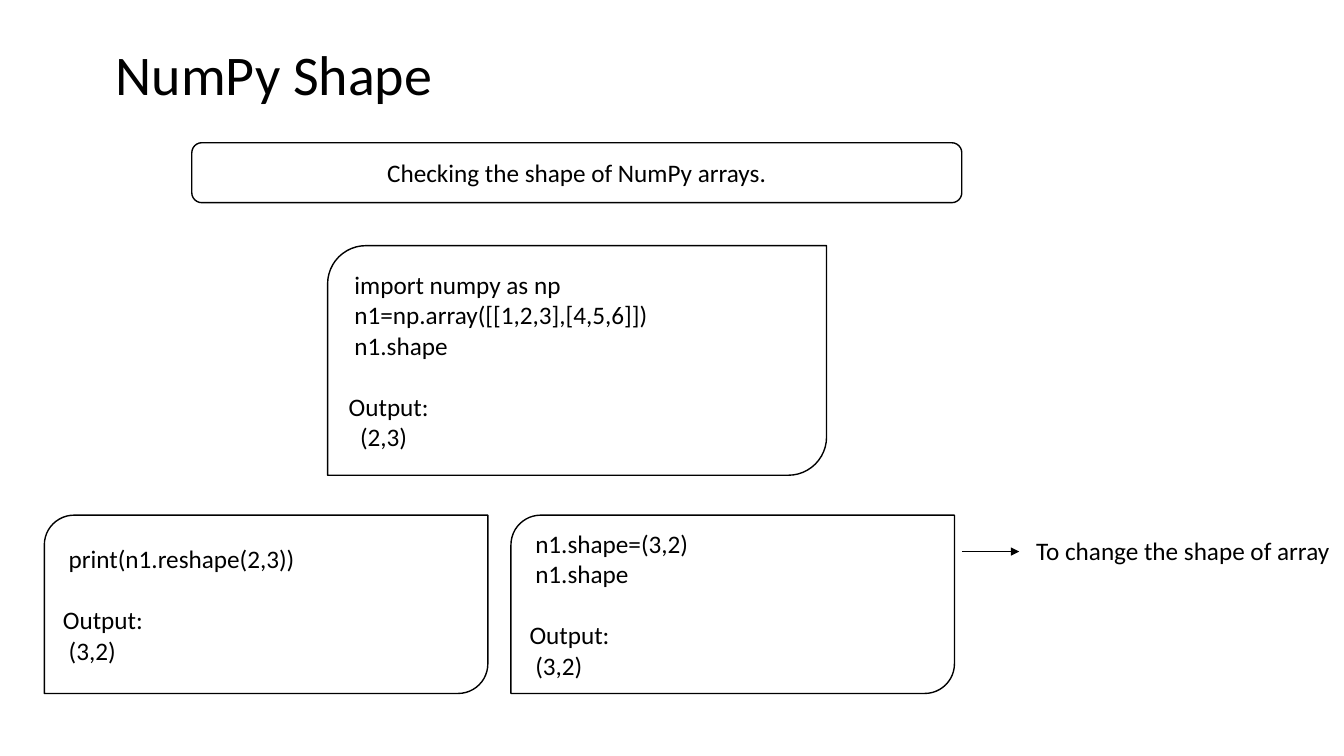
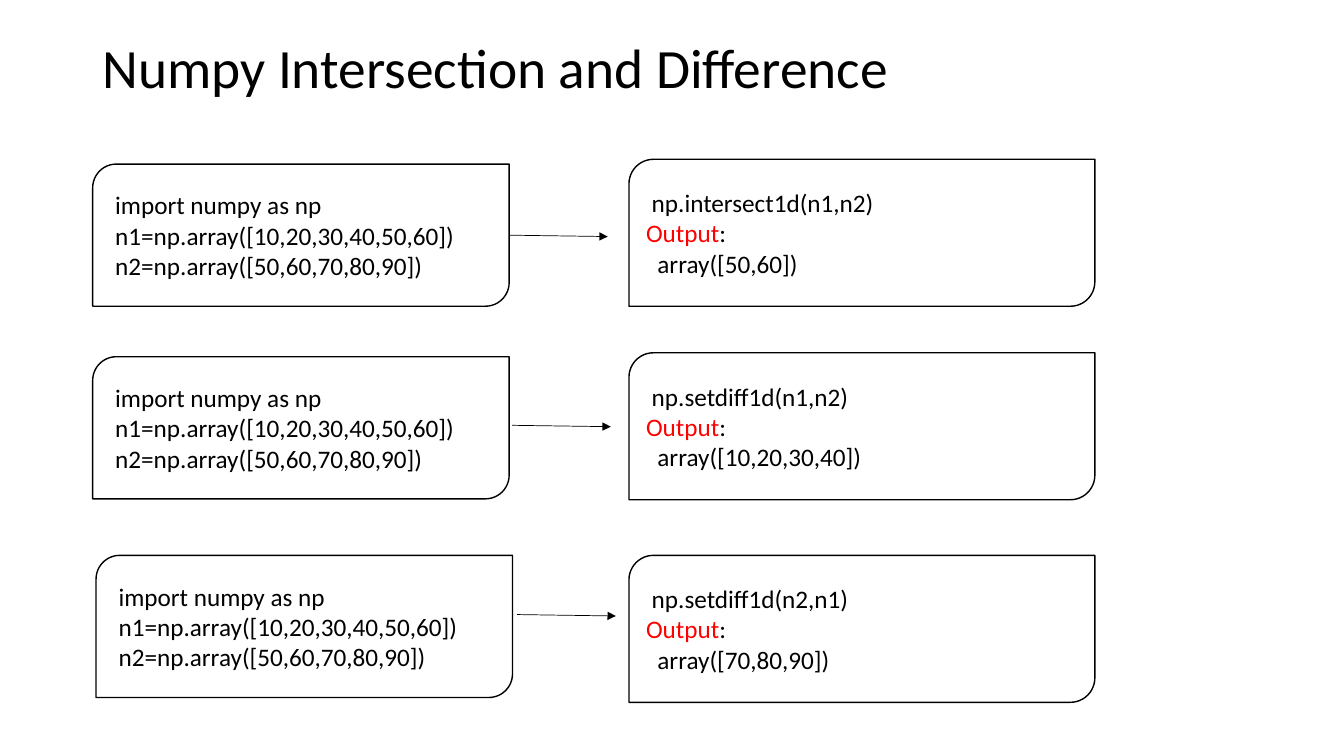
import pptx
import pptx.util
import pptx.dml.color
import pptx.enum.shapes
import pptx.enum.text
import pptx.oxml
import pptx.oxml.ns

Pt = pptx.util.Pt
RGB = pptx.dml.color.RGBColor.from_string
SHAPES = pptx.enum.shapes.MSO_SHAPE
ANCHOR = pptx.enum.text.MSO_ANCHOR
ALIGN = pptx.enum.text.PP_ALIGN

# Content: code lines, result, result indent in spaces
SHAPE_TITLE = "NumPy Shape"
SHAPE_INTRO = "Checking the shape of NumPy arrays."
SHAPE_NOTE = "To change the shape of array"
SHAPE_CODE = (["import numpy as np", "n1=np.array([[1,2,3],[4,5,6]])", "n1.shape"], "(2,3)", 2)
RESHAPE_CODE = [
    (["print(n1.reshape(2,3))"], "(3,2)", 1),
    (["n1.shape=(3,2)", "n1.shape"], "(3,2)", 1),
]

SETS_TITLE = "Numpy Intersection and Difference"
SETS_CODE = ["import numpy as np", "n1=np.array([10,20,30,40,50,60])",
             "n2=np.array([50,60,70,80,90])"]
# call, result, left box corner, right box top, arrow start
SETS_ROWS = [
    ("np.intersect1d(n1,n2)", "array([50,60])", (66.2, 117.2), 113.8, (363.6, 168)),
    ("np.setdiff1d(n1,n2)", "array([10,20,30,40])", (66.2, 254.8), 252, (365.8, 303.8)),
    ("np.setdiff1d(n2,n1)", "array([70,80,90])", (68.6, 396.7), 396.7, (369.4, 439)),
]

# Theme
THEME = {
    "font": "Calibri", "ink": "000000", "paper": "FFFFFF", "accent": "FF0000",
    "title": 40, "title_tight": 39.6, "body": 18,
    "outline": 1, "arrow": 0.5, "space": 4.07, "blank_line": 22,
}

prs = pptx.Presentation()
prs.slide_width, prs.slide_height = Pt(960), Pt(540)


# Shared helpers
def new_slide():
    return prs.slides.add_slide(prs.slide_layouts[6])


def write(tf, lines, size=THEME["body"], **para_format):
    """Each line is (runs, indent in spaces, space before); a run is (text, colour)."""
    for i, (runs, indent, before) in enumerate(lines):
        p = tf.paragraphs[0] if i == 0 else tf.add_paragraph()
        settings = {"alignment": ALIGN.LEFT, "space_before": Pt(before), **para_format}
        for name, value in settings.items():
            setattr(p, name, value)
        p._p.get_or_add_pPr().set("marL", str(Pt(indent * THEME["space"])))
        for text, colour in runs:
            r = p.add_run()
            r.text = text
            for name, value in {"name": THEME["font"], "size": Pt(size)}.items():
                setattr(r.font, name, value)
            r.font.color.rgb = RGB(THEME[colour])


def plain(text, indent=0):
    return ([(text, "ink")], indent, 0)


def add_text(s, box, text, size, wrap=True, **para_format):
    tf = s.shapes.add_textbox(*map(Pt, box)).text_frame
    tf.word_wrap = wrap
    tf.vertical_anchor = ANCHOR.MIDDLE
    write(tf, [plain(text)], size, **para_format)


def add_box(s, kind, box, lines, **para_format):
    sp = s.shapes.add_shape(kind, *map(Pt, box))
    sp.shadow.inherit = False
    sp.fill.solid()
    sp.fill.fore_color.rgb = RGB(THEME["paper"])
    sp.line.color.rgb = RGB(THEME["ink"])
    sp.line.width = Pt(THEME["outline"])
    sp.text_frame.vertical_anchor = ANCHOR.MIDDLE
    write(sp.text_frame, lines, **para_format)


def add_code(s, box, code, result=None, indent=0, label="ink", gap=0):
    lines = [plain(text, 1) for text in code]
    if result:
        lines.append(([("Output", label), (":", "ink")], 0, gap))
        lines.append(plain(result, indent))
    add_box(s, SHAPES.ROUND_2_DIAG_RECTANGLE, box, lines)


def add_arrow(s, x, y, dx, dy=0):
    line = s.shapes.add_connector(pptx.enum.shapes.MSO_CONNECTOR.STRAIGHT,
                                  Pt(x), Pt(y), Pt(x + dx), Pt(y + dy))
    line.line.color.rgb = RGB(THEME["ink"])
    line.line.width = Pt(THEME["arrow"])
    qn = pptx.oxml.ns.qn
    ln = line.line._get_or_add_ln()
    ln.append(ln.makeelement(qn("a:tailEnd"), {"type": "triangle"}))
    ln.addnext(ln.makeelement(qn("a:effectLst"), {}))


# Slide 1: array shape
s = new_slide()
add_text(s, (75.6, 24.5, 242.6, 55.5), SHAPE_TITLE, THEME["title"], wrap=False)
add_box(s, SHAPES.ROUNDED_RECTANGLE, (137, 102, 550, 42.8), [plain(SHAPE_INTRO)],
        alignment=ALIGN.CENTER)
add_code(s, (234, 175.5, 356.4, 164), *SHAPE_CODE, gap=THEME["blank_line"])
for col, block in enumerate(RESHAPE_CODE):
    add_code(s, (31.7 + col * 333.3, 368, 316.8, 127.4), *block, gap=THEME["blank_line"])
add_arrow(s, 687, 394, 41)
add_text(s, (733, 379, 227, 29), SHAPE_NOTE, THEME["body"])

# Slide 2: intersection and difference
s = new_slide()
add_text(s, (66.2, 28.8, 828, 43.2), SETS_TITLE, THEME["title_tight"], line_spacing=0.9)
for call, result, corner, right_top, arrow_start in SETS_ROWS:
    add_code(s, (*corner, 297.5, 101.5), SETS_CODE)
    add_arrow(s, *arrow_start, 70.5, 1)
    add_code(s, (449.3, right_top, 332.8, 105), [call], result, 2, label="accent")

prs.save("out.pptx")
